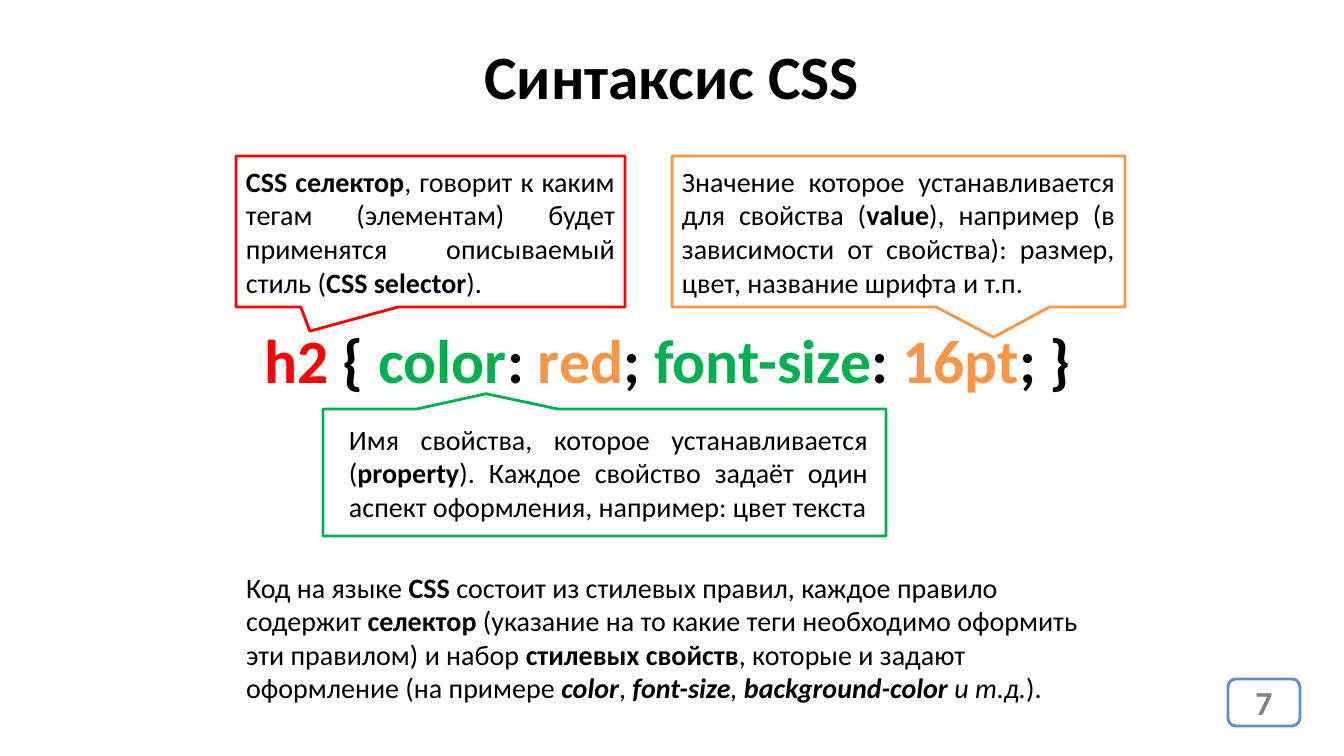
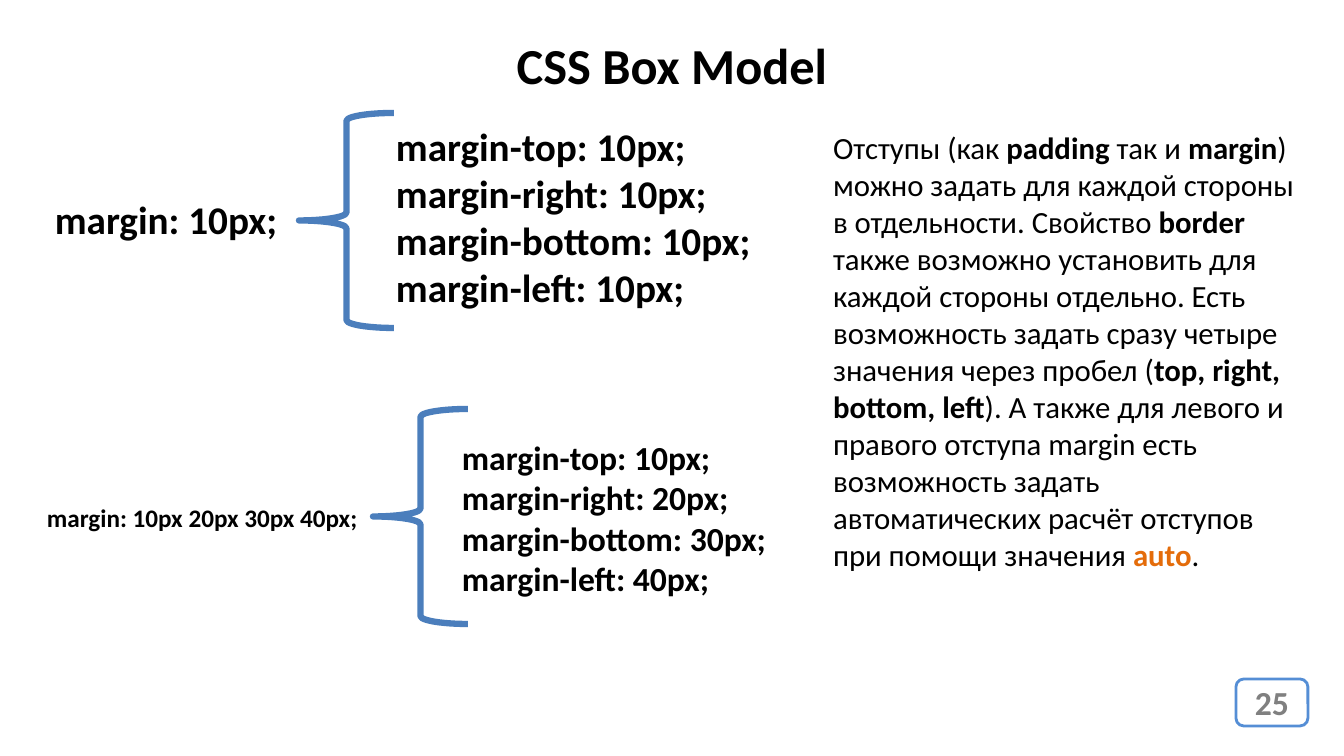
"""Build two slides on CSS syntax and the CSS box model."""
from lxml import etree
from pptx import Presentation, util as u
from pptx.dml.color import RGBColor
from pptx.enum import shapes, text
from pptx.oxml.ns import qn

PX = 914400 / 100.8
FONT = "Calibri"
BLACK, WHITE, GRAY = "000000", "FFFFFF", "808080"
RED, GREEN, ORANGE, AUTO = "FF0000", "00B050", "F79646", "E46C0A"
BADGE_LINE, BRACE_LINE = "558ED5", "4B7EBC"
LEFT, CENTER, JUSTIFY = (text.PP_ALIGN.LEFT, text.PP_ALIGN.CENTER,
                         text.PP_ALIGN.JUSTIFY)
TOP, MIDDLE = text.MSO_ANCHOR.TOP, text.MSO_ANCHOR.MIDDLE
SHAPE = shapes.MSO_SHAPE

# A run is (text, style letters, colour); the last two may be left out.
SYNTAX = {
    "title": ("Синтаксис CSS", 44, (0, 33, 1344, 85)),
    "number": ("7", 1228),
    "body": (20, (236, 565, 889, 146), [
        ("Код на языке ",), ("CSS ", "b"),
        ("состоит из стилевых правил, каждое правило содержит ",),
        ("селектор", "b"),
        (" (указание на то какие теги необходимо оформить эти правилом) и набор ",),
        ("стилевых свойств", "b"),
        (", которые и задают оформление (на примере ",),
        ("color", "bi"), (", ",), ("font-size", "bi"), (", ", "i"),
        ("background-color ", "bi"), ("и т.д.", "i"), (").",),
    ]),
}
CODE_BOX = (250, 317, 836, 85)
CODE = [
    ("h2", "b", RED), (" { ", "b"), ("color", "b", GREEN), (": ", "b"),
    ("red", "b", ORANGE), ("; ", "b"), ("font-size", "b", GREEN), (": ", "b"),
    ("16pt", "b", ORANGE), ("; }", "b"),
]
CALLOUTS = [
    ((236, 156, 389, 151), RED, (-0.31, 0.66), (10, 10), [
        ("CSS селектор", "b"),
        (", говорит к каким тегам (элементам) будет применятся описываемый стиль (",),
        ("CSS selector", "b"), (").",)]),
    ((323, 409, 563, 127), GREEN, (-0.21, -0.62), (26, 18), [
        ("Имя свойства, которое устанавливается (",), ("property", "b"),
        ("). Каждое свойство задаёт один аспект оформления, например: цвет текста",)]),
    ((672, 156, 453, 151), ORANGE, (0.21, 0.7), (10, 10), [
        ("Значение которое устанавливается для свойства (",), ("value", "b"),
        ("), например (в зависимости от свойства): размер, цвет, название шрифта и т.п.",)]),
]

BOX_MODEL = {
    "title": ("CSS Box Model", 36, (0, 29, 1344, 72)),
    "number": ("25", 1236),
    "body": (22, (823, 124, 492, 458), [
        ("Отступы (как ",), ("padding ", "b"), ("так и ",), ("margin", "b"),
        (") можно задать для каждой стороны в отдельности. Свойство ",),
        ("border ", "b"),
        ("также возможно установить для каждой стороны отдельно. Есть "
         "возможность задать сразу четыре значения через пробел (",),
        ("top, right, bottom, left", "b"),
        ("). А также для левого и правого отступа margin есть возможность "
         "задать автоматических расчёт отступов при помощи значения ",),
        ("auto", "b", AUTO), (".",),
    ]),
}
SIDES = ["top", "right", "bottom", "left"]
MARGINS = [
    {"short": ("margin: 10px;", 28, (45, 190, 254, 57)),
     "brace": (299, 113, 95, 215),
     "values": [10, 10, 10, 10], "size": 28, "box": (386, 117, 380, 201)},
    {"short": ("margin: 10px 20px 30px 40px;", 18, (37, 497, 340, 40)),
     "brace": (373, 409, 95, 215),
     "values": [10, 20, 30, 40], "size": 24, "box": (452, 432, 329, 173)},
]


def px(length):
    return u.Emu(round(length * PX))


def rgb(color):
    return RGBColor.from_string(color)


def place(shape, box):
    shape.left, shape.top, shape.width, shape.height = map(px, box)


def write(shape, paragraphs, size, align=LEFT, anchor=TOP, wrap=True):
    frame = shape.text_frame
    frame.auto_size = text.MSO_AUTO_SIZE.NONE
    frame.word_wrap = wrap
    frame.vertical_anchor = anchor
    for index, runs in enumerate(paragraphs):
        paragraph = frame.add_paragraph() if index else frame.paragraphs[0]
        paragraph.alignment = align
        paragraph.space_before = u.Pt(0)
        for content, *look in runs:
            style, color = (look + ["", BLACK][len(look):])
            run = paragraph.add_run()
            run.text = content
            run.font.name = FONT
            run.font.size = u.Pt(size)
            run.font.bold = "b" in style
            run.font.italic = "i" in style
            run.font.color.rgb = rgb(color)


def add_text(slide, box, paragraphs, size, align=LEFT):
    shape = slide.shapes.add_textbox(*map(px, box))
    write(shape, paragraphs, size, align, wrap=False)


def add_outline(slide, kind, box, line, width=2, fill=None):
    shape = slide.shapes.add_shape(kind, *map(px, box))
    shape.shadow.inherit = False
    if fill:
        shape.fill.solid()
        shape.fill.fore_color.rgb = rgb(fill)
    else:
        shape.fill.background()
    shape.line.color.rgb = rgb(line)
    shape.line.width = u.Pt(width)
    return shape


def add_base(presentation, content):
    slide = presentation.slides.add_slide(presentation.slide_layouts[1])
    title, size, box = content["title"]
    place(slide.shapes.title, box)
    write(slide.shapes.title, [[(title, "b")]], size, CENTER)

    size, box, runs = content["body"]
    body = slide.placeholders[1]
    place(body, box)
    write(body, [runs], size)
    properties = body.text_frame.paragraphs[0]._p.get_or_add_pPr()
    properties.set("marL", "0")
    properties.set("indent", "0")
    etree.SubElement(properties, qn("a:buNone"))

    number, left = content["number"]
    badge = add_outline(slide, SHAPE.ROUNDED_RECTANGLE, (left, 679, 72, 47),
                        BADGE_LINE, fill=WHITE)
    write(badge, [[(number, "b", GRAY)]], 24, CENTER, MIDDLE)
    return slide


def add_syntax(presentation):
    slide = add_base(presentation, SYNTAX)
    add_text(slide, CODE_BOX, [CODE], 44, CENTER)
    for box, color, tip, (left, right), runs in CALLOUTS:
        callout = add_outline(slide, SHAPE.RECTANGULAR_CALLOUT, box, color)
        callout.adjustments[0], callout.adjustments[1] = tip
        callout.text_frame.margin_left = px(left)
        callout.text_frame.margin_right = px(right)
        write(callout, [runs], 20, JUSTIFY, MIDDLE)


def add_box_model(presentation):
    slide = add_base(presentation, BOX_MODEL)
    for margin in MARGINS:
        add_outline(slide, SHAPE.LEFT_BRACE, margin["brace"], BRACE_LINE, 4.5)
        short, size, box = margin["short"]
        add_text(slide, box, [[(short, "b")]], size)
        rules = [[(f"margin-{side}: {value}px;", "b")]
                 for side, value in zip(SIDES, margin["values"])]
        add_text(slide, margin["box"], rules, margin["size"])


def main():
    presentation = Presentation()
    presentation.slide_width, presentation.slide_height = px(1344), px(756)
    add_syntax(presentation)
    add_box_model(presentation)
    presentation.save("out.pptx")


if __name__ == "__main__":
    main()
